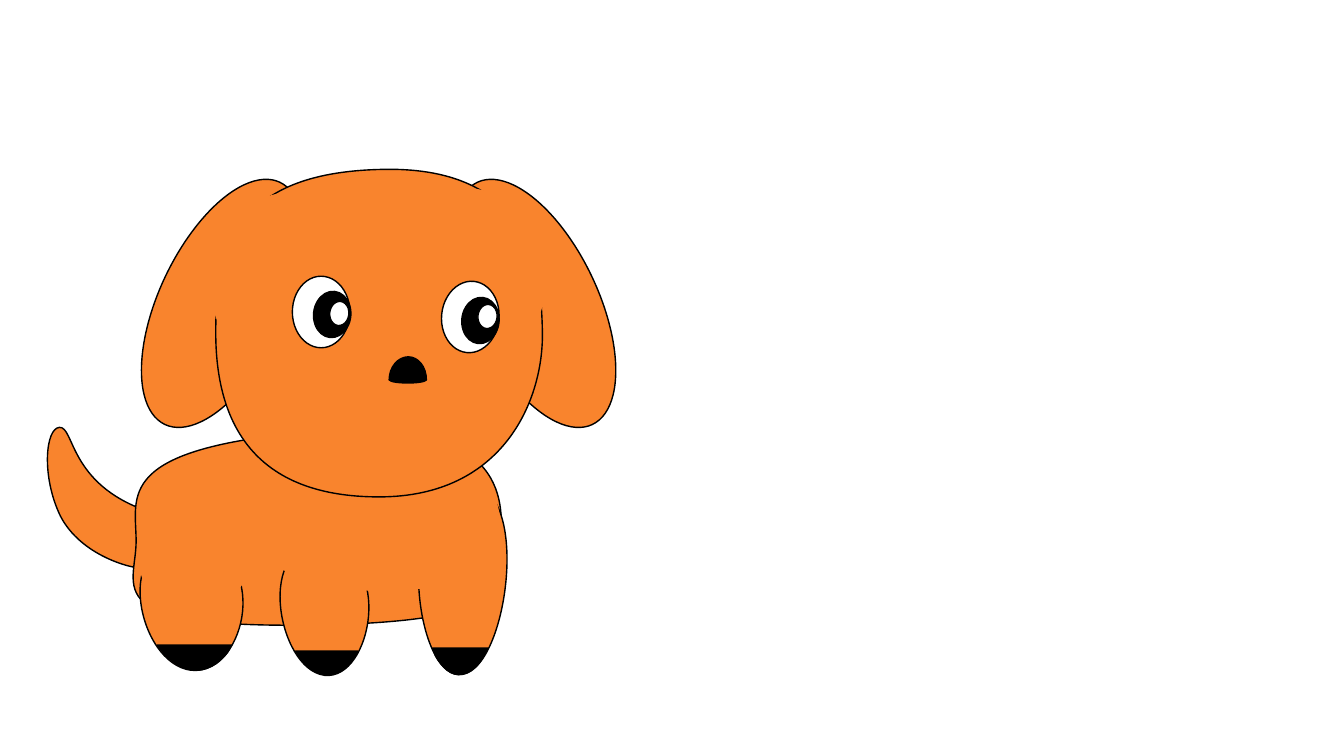
from math import cos, radians, sin

from lxml import etree
from pptx import Presentation
from pptx.dml.color import RGBColor
from pptx.enum.shapes import MSO_SHAPE
from pptx.oxml.ns import qn
from pptx.util import Cm, Pt

OVAL = MSO_SHAPE.OVAL
THEME = {"coat": "F9842D", "ink": "000000", "white": "FFFFFF", "line": 1}
INCH = 2.54
STEPS = 50

# Ovals: left, top, width, height, tilt (inches, degrees)
EARS = [(1.58, 1.68, 1.25, 2.66, 25.4), (4.68, 1.68, 1.25, 2.66, -25.4)]
# Eye layers, right then left: left, top, width, height, tilt, fill
EYES = [
    (2.9, 2.74, 0.57, 0.71, 0, "white"),
    (4.38, 2.79, 0.57, 0.71, 5.7, "white"),
    (4.58, 2.95, 0.37, 0.46, 5.7, "ink"),
    (3.11, 2.89, 0.37, 0.46, 5.7, "ink"),
    (3.27, 2.99, 0.19, 0.24, 5.7, "white"),
    (4.74, 3.02, 0.19, 0.24, 5.7, "white"),
]

# Outlines: a start point, then lines (2 numbers) or cubic curves (6 numbers)
TAIL = [(1.46, 5.07), (0.68, 4.8, 0.74, 4.23, 0.59, 4.24),
        (0.45, 4.25, 0.41, 4.73, 0.6, 5.12),
        (0.8, 5.51, 1.31, 5.65, 1.45, 5.64),
        (1.6, 5.64, 2.24, 5.34, 1.46, 5.07)]
BODY = [(4.97, 5.37), (4.97, 5.06, 5.13, 4.11, 3.12, 4.28),
        (1.12, 4.45, 1.35, 4.92, 1.35, 5.37),
        (1.35, 5.83, 0.94, 6.24, 3.16, 6.2),
        (5.38, 6.16, 4.98, 5.69, 4.97, 5.37)]
LEGS = [
    [(1.9, 6.65), (2.45, 6.7, 2.7, 5.47, 1.9, 5.37),
     (1.1, 5.28, 1.35, 6.59, 1.9, 6.65)],
    [(3.22, 6.7), (3.69, 6.75, 3.91, 5.52, 3.22, 5.42),
     (2.53, 5.33, 2.74, 6.64, 3.22, 6.7)],
    [(4.59, 6.69), (4.12, 6.78, 3.9, 4.97, 4.59, 4.83),
     (5.28, 4.69, 5.06, 6.61, 4.59, 6.69)],
]
CHEST = [(2.41, 5.24), (2.22, 4.45, 4.65, 3.88, 4.94, 5.03),
         (5.23, 6.18, 2.59, 6.04, 2.41, 5.24)]
HEAD = [(5.38, 3.3), (5.37, 2.65, 5.25, 1.66, 3.82, 1.68),
        (2.38, 1.7, 2.14, 2.41, 2.14, 3.3),
        (2.14, 4.2, 2.52, 4.93, 3.76, 4.93),
        (5, 4.93, 5.39, 3.96, 5.38, 3.3)]
# Patches that hide inner edges, each with its tilt
BLENDS = [
    ([(4, 2.83), (3.73, 2.02, 4.92, 1.31, 5.33, 2.5),
      (5.73, 3.69, 4.27, 3.65, 4, 2.83)], 75.9),
    ([(3.5, 2.88), (3.77, 2.06, 2.57, 1.36, 2.17, 2.54),
      (1.77, 3.73, 3.23, 3.7, 3.5, 2.88)], -75.9),
    ([(1.87, 6.07), (1.27, 6.04, 1.12, 5.09, 1.99, 5.13),
      (2.87, 5.17, 2.47, 6.11, 1.87, 6.07)], 7.6),
]
PAWS = [
    [(3.55, 6.46), (2.93, 6.46), (2.99, 6.55),
     (3.05, 6.63, 3.13, 6.68, 3.22, 6.69),
     (3.34, 6.71, 3.44, 6.64, 3.51, 6.53), (3.55, 6.46)],
    [(2.3, 6.4), (1.56, 6.4), (1.63, 6.49),
     (1.71, 6.57, 1.8, 6.63, 1.91, 6.65),
     (2.05, 6.66, 2.17, 6.59, 2.26, 6.47), (2.3, 6.4)],
    [(4.29, 6.43), (4.84, 6.43), (4.79, 6.52),
     (4.73, 6.62, 4.66, 6.68, 4.58, 6.69),
     (4.48, 6.71, 4.39, 6.63, 4.32, 6.51), (4.29, 6.43)],
]
NOSE = [(3.86, 3.77), (3.86, 3.64, 3.95, 3.54, 4.05, 3.54),
        (4.15, 3.54, 4.23, 3.64, 4.23, 3.77),
        (4.2, 3.81, 3.89, 3.81, 3.86, 3.77)]


def size(inches):
    return Cm(inches * INCH)


def paint(shape, fill, edge=True):
    shape.shadow.inherit = False
    shape.fill.solid()
    shape.fill.fore_color.rgb = RGBColor.from_string(THEME[fill])
    if edge:
        shape.line.color.rgb = RGBColor.from_string(THEME["ink"])
        shape.line.width = Pt(THEME["line"])
    else:
        shape.line.fill.background()


def turn(point, angle):
    x, y = point
    c, s = cos(radians(angle)), sin(radians(angle))
    return x * c - y * s, x * s + y * c


def bounds(parts):
    """Find the low and high corner that the drawn outline reaches."""
    spots = [parts[0][0]]
    for part in parts[1:]:
        if len(part) == 3:
            knots = [spots[-1], *part]
            for step in range(1, STEPS):
                t = step / STEPS
                u = 1 - t
                shares = (u**3, 3 * u * u * t, 3 * u * t * t, t**3)
                spots.append(tuple(
                    sum(s * k[axis] for s, k in zip(shares, knots))
                    for axis in (0, 1)))
        spots.append(part[-1])
    axes = list(zip(*spots))
    return tuple(map(min, axes)), tuple(map(max, axes))


def draw(dog, outline, fill="coat", edge=True, tilt=0):
    """Add a closed shape with true curves, in a frame turned by tilt."""
    parts = [[turn(part[i:i + 2], -tilt) for i in range(0, len(part), 2)]
             for part in outline]
    low, high = bounds(parts)
    wide, tall = high[0] - low[0], high[1] - low[1]
    mid = turn((low[0] + wide / 2, low[1] + tall / 2), tilt)
    left, top = mid[0] - wide / 2, mid[1] - tall / 2

    pen = dog.build_freeform(size(left), size(top))
    pen.add_line_segments([(size(left + wide), size(top + tall))])
    shape = pen.convert_to_shape()
    track = next(shape.element.iter(qn("a:path")))
    for child in list(track):
        track.remove(child)
    for index, part in enumerate(parts):
        kind = "cubicBezTo" if len(part) == 3 else "lnTo"
        node = etree.SubElement(track, qn("a:" + (kind if index else "moveTo")))
        for x, y in part:
            etree.SubElement(node, qn("a:pt"), x=str(size(x - low[0])),
                             y=str(size(y - low[1])))
    etree.SubElement(track, qn("a:close"))
    shape.rotation = tilt
    paint(shape, fill, edge)


def oval(dog, box, tilt, fill="coat"):
    shape = dog.add_shape(OVAL, *map(size, box))
    shape.rotation = tilt
    paint(shape, fill)


def main():
    deck = Presentation()
    deck.slide_width, deck.slide_height = size(13.33), size(7.5)
    slide = deck.slides.add_slide(deck.slide_layouts[6])
    dog = slide.shapes.add_group_shape().shapes

    draw(dog, TAIL, tilt=-26.3)
    for *box, tilt in EARS:
        oval(dog, box, tilt)
    for outline in [BODY, *LEGS]:
        draw(dog, outline)
    draw(dog, CHEST, edge=False, tilt=85.1)
    draw(dog, HEAD)
    for outline, tilt in BLENDS:
        draw(dog, outline, edge=False, tilt=tilt)
    for outline in PAWS:
        draw(dog, outline, "ink")
    for *box, tilt, fill in EYES:
        oval(dog, box, tilt, fill)
    draw(dog, NOSE, "ink")
    deck.save("out.pptx")


if __name__ == "__main__":
    main()
